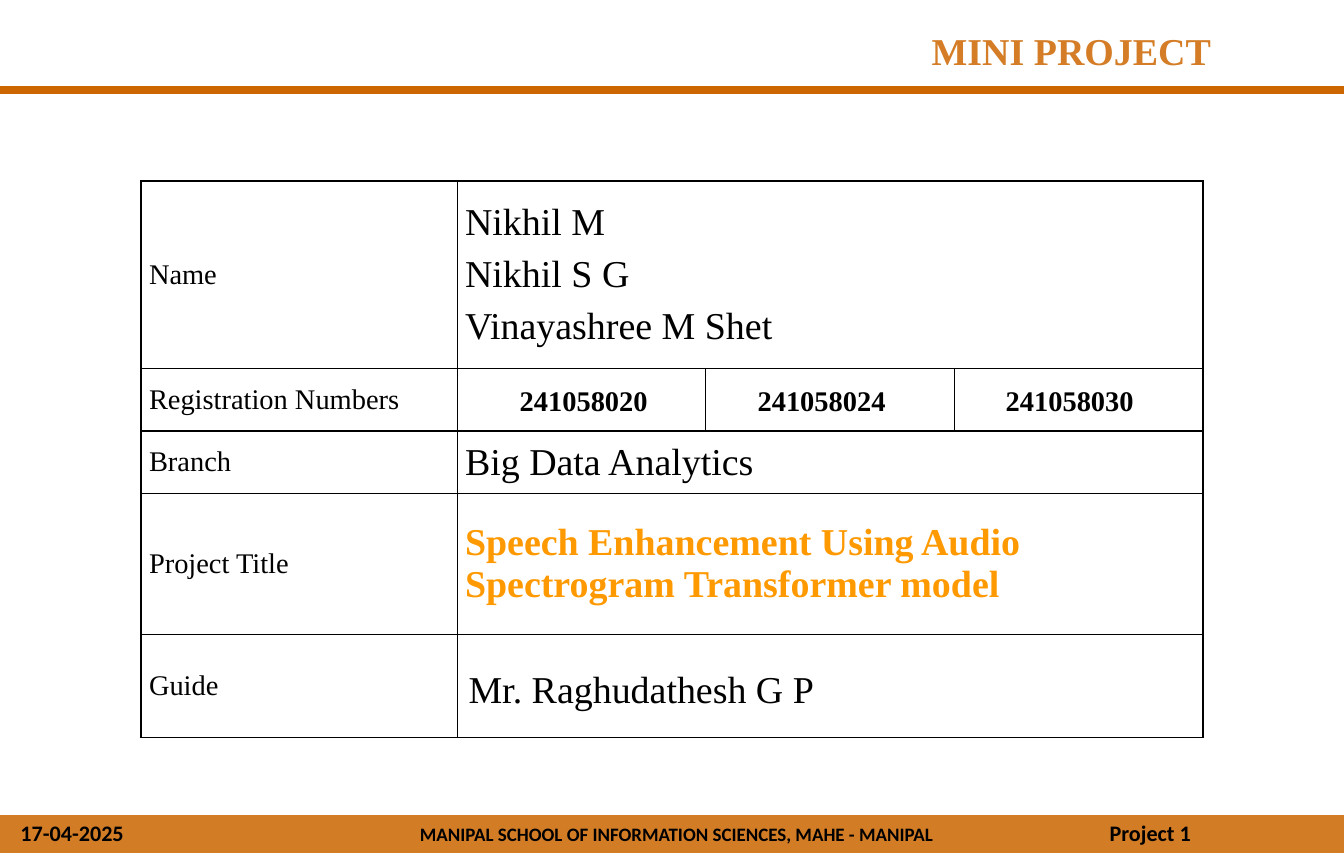
from dataclasses import dataclass

from lxml.etree import SubElement
from pptx import Presentation
from pptx.dml.color import RGBColor as RGB
from pptx.enum.shapes import MSO_CONNECTOR as Connector, MSO_SHAPE as Shape
from pptx.enum.text import MSO_ANCHOR as Anchor, PP_ALIGN as Align
from pptx.oxml.ns import qn
from pptx.util import Pt


@dataclass(frozen=True)
class Theme:
    ink: RGB = RGB(0, 0, 0)
    rule: RGB = RGB(0xCC, 0x66, 0x00)
    heading: RGB = RGB(0xD4, 0x7D, 0x26)
    topic: RGB = RGB(0xFF, 0x99, 0x00)
    serif: str = "Times New Roman"
    sans: str = "Calibri"
    large: int = 24
    label: int = 18
    footer: int = 14
    school: int = 12


theme = Theme()
WIDTH, HEIGHT = 850.4, 540


def style(paragraph, size, color=theme.ink, bold=False, face=theme.serif):
    font = paragraph.font
    font.name, font.size, font.bold = face, Pt(size), bold
    font.color.rgb = color


def add_text(text, left, top, width, height, size, align=Align.LEFT, wrap=True, **look):
    frame = slide.shapes.add_textbox(Pt(left), Pt(top), Pt(width), Pt(height)).text_frame
    frame.word_wrap = wrap
    frame.text = text
    frame.paragraphs[0].alignment = align
    style(frame.paragraphs[0], size, **look)


deck = Presentation()
deck.slide_width, deck.slide_height = Pt(WIDTH), Pt(HEIGHT)
slide = deck.slides.add_slide(deck.slide_layouts[6])

# Header rule and footer band
header_rule = slide.shapes.add_connector(Connector.STRAIGHT, 0, Pt(57), Pt(WIDTH), Pt(57))
header_rule.line.color.rgb = theme.rule
header_rule.line.width = Pt(4.5)
SubElement(header_rule._element.spPr, qn("a:effectLst"))

footer_band = slide.shapes.add_shape(Shape.RECTANGLE, 0, Pt(516), Pt(WIDTH), Pt(24))
footer_band.shadow.inherit = False
footer_band.line.fill.background()
footer_band.fill.solid()
footer_band.fill.fore_color.rgb = theme.rule
band_color = footer_band._element.spPr.find(qn("a:solidFill"))[0]
SubElement(band_color, qn("a:alpha"), val="85000")

add_text("MANIPAL SCHOOL OF INFORMATION SCIENCES, MAHE - MANIPAL", 205, 517.5, 446.5, 22,
         theme.school, Align.CENTER, bold=True, face=theme.sans)
for note, left, width in (("17-04-2025", 5.8, 96), ("Project 1", 695, 155)):
    add_text(note, left, 515.5, width, 24.5, theme.footer, bold=True, face=theme.sans)

add_text("MINI PROJECT", 197.3, 13.7, 576, 37, theme.large, Align.RIGHT,
         color=theme.heading, bold=True)

# Project details: label, value, row height
details = [
    ("Name", "Nikhil M\nNikhil S G\nVinayashree M Shet", 118.8),
    ("Registration Numbers", "", 39.6),
    ("Branch", "Big Data Analytics", 39.6),
    ("Project Title", "Speech Enhancement Using Audio Spectrogram Transformer model", 89.3),
    ("Guide", "", 65.3),
]
column_widths = [200, 157.3, 157.3, 157.3]
table = slide.shapes.add_table(len(details), len(column_widths), Pt(89.3), Pt(114.5),
                               Pt(sum(column_widths)), Pt(352.6)).table
table.first_row = table.horz_banding = False
for column, width in zip(table.columns, column_widths):
    column.width = Pt(width)

for row, (label, value, height) in enumerate(details):
    table.rows[row].height = Pt(height)
    if label != "Registration Numbers":
        table.cell(row, 1).merge(table.cell(row, 3))
    for col, (text, size) in enumerate(((label, theme.label), (value, theme.large))):
        if not text:
            continue
        cell = table.cell(row, col)
        cell.text = text
        cell.vertical_anchor = Anchor.MIDDLE
        cell.margin_left = cell.margin_right = Pt(5)
        cell.margin_top = cell.margin_bottom = 0
        is_topic = label == "Project Title" and col == 1
        for paragraph in cell.text_frame.paragraphs:
            style(paragraph, size, theme.topic if is_topic else theme.ink, is_topic)
            if not is_topic:
                paragraph.space_before = paragraph.space_after = Pt(3.1)

for cell in table.iter_cells():
    properties = cell._tc.get_or_add_tcPr()
    for side in ("lnL", "lnR", "lnT", "lnB"):
        border = SubElement(properties, qn(f"a:{side}"), w=str(Pt(1)))
        SubElement(SubElement(border, qn("a:solidFill")), qn("a:srgbClr"), val=str(theme.ink))
    cell.fill.background()

# Entries laid over the table
for number, left in (("241058020", 321.8), ("241058024", 472.3), ("241058030", 629.3)):
    add_text(number, left, 239, 96.5, 29, theme.label, wrap=False, bold=True)
add_text("Mr. Raghudathesh G P", 289.4, 417.6, 292.3, 36, theme.large)

deck.save("out.pptx")
